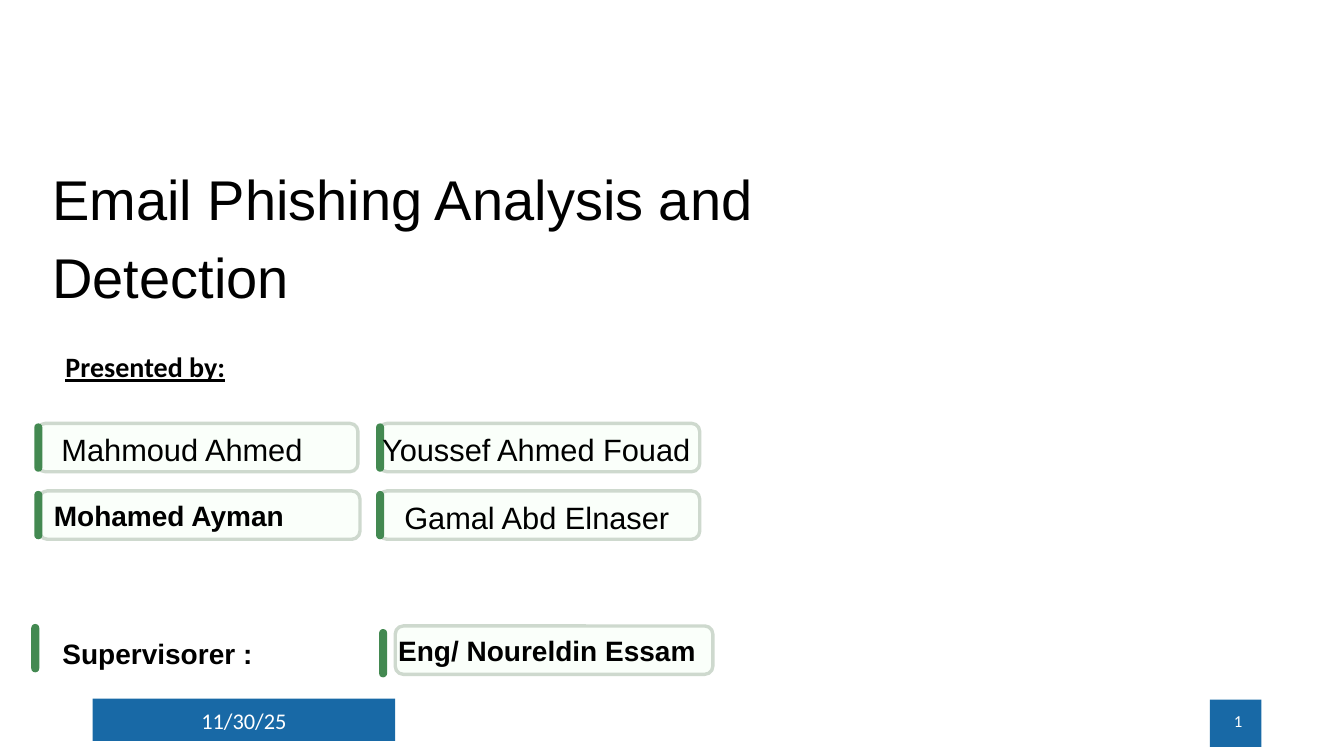
from pptx import Presentation
from pptx.dml.color import RGBColor
from pptx.enum.shapes import MSO_SHAPE as Kind
from pptx.enum.text import MSO_ANCHOR as Anchor, MSO_AUTO_SIZE as Auto, PP_ALIGN as Align
from pptx.util import Inches, Pt

BLACK = RGBColor(0x00, 0x00, 0x00)
WHITE = RGBColor(0xFF, 0xFF, 0xFF)
BLUE = RGBColor(0x18, 0x69, 0xA6)
GREEN = RGBColor(0x43, 0x89, 0x51)
MINT = RGBColor(0xFA, 0xFF, 0xFA)
SAGE = RGBColor(0xCE, 0xD9, 0xCE)
CARD = (3.18, 0.48)
LEFTS = (0.34, 3.73)
TOPS = (4.2, 4.87)


def write(shape, text, size, color=BLACK, font="Arial", bold=False,
          under=False, align=Align.LEFT, anchor=Anchor.TOP, pad=(0, 0), line=None):
    """Set and format the one paragraph of a shape."""
    frame = shape.text_frame
    frame.word_wrap = True
    frame.auto_size = Auto.NONE
    frame.vertical_anchor = anchor
    frame.margin_left = frame.margin_right = Inches(pad[0])
    frame.margin_top = frame.margin_bottom = Inches(pad[1])
    para = frame.paragraphs[0]
    para.text = text
    para.alignment = align
    if line:
        para.line_spacing = Pt(line)
    face = para.font
    face.name, face.size, face.bold, face.underline = font, Pt(size), bold, under
    face.color.rgb = color


def label(slide, box, text, size, **style):
    """Add a text box."""
    area = slide.shapes.add_textbox(*map(Inches, box))
    write(area, text, size, **style)


def block(slide, kind, box, fill, edge=None, curve=None):
    """Add a flat filled shape, with an edge if one is given."""
    shape = slide.shapes.add_shape(kind, *map(Inches, box))
    shape.shadow.inherit = False
    shape.fill.solid()
    shape.fill.fore_color.rgb = fill
    if edge:
        shape.line.color.rgb = edge
        shape.line.width = Pt(2.4)
    else:
        shape.line.fill.background()
    if curve:
        shape.adjustments[0] = curve
    return shape


def card(slide, left, top, width=CARD[0]):
    """Add a pale rounded card."""
    box = (left, top, width, CARD[1])
    return block(slide, Kind.ROUNDED_RECTANGLE, box, MINT, SAGE, 0.168)


def mark(slide, left, top):
    """Add a green upright bar."""
    block(slide, Kind.ROUNDED_RECTANGLE, (left, top, 0.08, CARD[1]), GREEN, curve=0.5)


def heading(slide, box):
    """Place the title and the line that leads to the names."""
    left, top, width, height = box
    title = slide.shapes.title
    title.left, title.top, title.width, title.height = map(Inches, box)
    write(title, "Email Phishing Analysis and Detection", 40, line=55.5)
    label(slide, (left + 0.13, top + 1.88, 2.64, 0.4), "Presented by:", 20,
          font="Calibri", bold=True, under=True, line=28.5)


def team(slide):
    """Fill the grid of presenter cards."""
    cells = (("Mahmoud Ahmed", 0, 0, 0.27), ("Mohamed Ayman", 0, 1, None),
             ("Youssef Ahmed Fouad", 1, 0, 0.06), ("Gamal Abd Elnaser", 1, 1, 0.28))
    for name, col, row, inset in cells:
        left, top = LEFTS[col], TOPS[row]
        if inset is None:
            panel = card(slide, left + 0.05, top)
            write(panel, name, 20, bold=True, anchor=Anchor.MIDDLE, pad=(0.12, 0.05))
            mark(slide, left, top)
        else:
            card(slide, left + 0.03, top)
            mark(slide, left, top)
            label(slide, (left + inset, top + 0.06, CARD[0], 0.4), name, 22, line=27.5)


def mentor(slide, top):
    """Add the supervisor row."""
    style = dict(bold=True, pad=(0.1, 0.05))
    mark(slide, 0.31, top)
    card(slide, 3.92, top + 0.02, 3.15)
    mark(slide, 3.76, top + 0.05)
    label(slide, (0.52, top + 0.08, 3.12, 0.44), "Supervisorer :", 20, **style)
    label(slide, (3.85, top + 0.05, 5.56, 0.44), "Eng/ Noureldin Essam", 20, **style)


def footer(slide, top):
    """Add the date and page number on blue bands."""
    style = dict(color=WHITE, font="Calibri", anchor=Anchor.MIDDLE, pad=(0.1, 0.05))
    block(slide, Kind.RECTANGLE, (0.92, top, 3, 0.42), BLUE)
    block(slide, Kind.RECTANGLE, (12, top + 0.01, 0.51, 0.47), BLUE)
    label(slide, (0.92, top + 0.02, 3, 0.4), "11/30/25", 16, align=Align.CENTER, **style)
    label(slide, (9.42, top + 0.02, 3, 0.4), "1", 12, align=Align.RIGHT, **style)


def main():
    """Build and save the deck."""
    deck = Presentation()
    deck.slide_width, deck.slide_height = Inches(13.33), Inches(7.5)
    slide = deck.slides.add_slide(deck.slide_layouts[5])
    footer(slide, 6.93)
    heading(slide, (0.52, 1.53, 7.01, 0.8))
    team(slide)
    mentor(slide, 6.19)
    deck.save("out.pptx")


if __name__ == "__main__":
    main()
